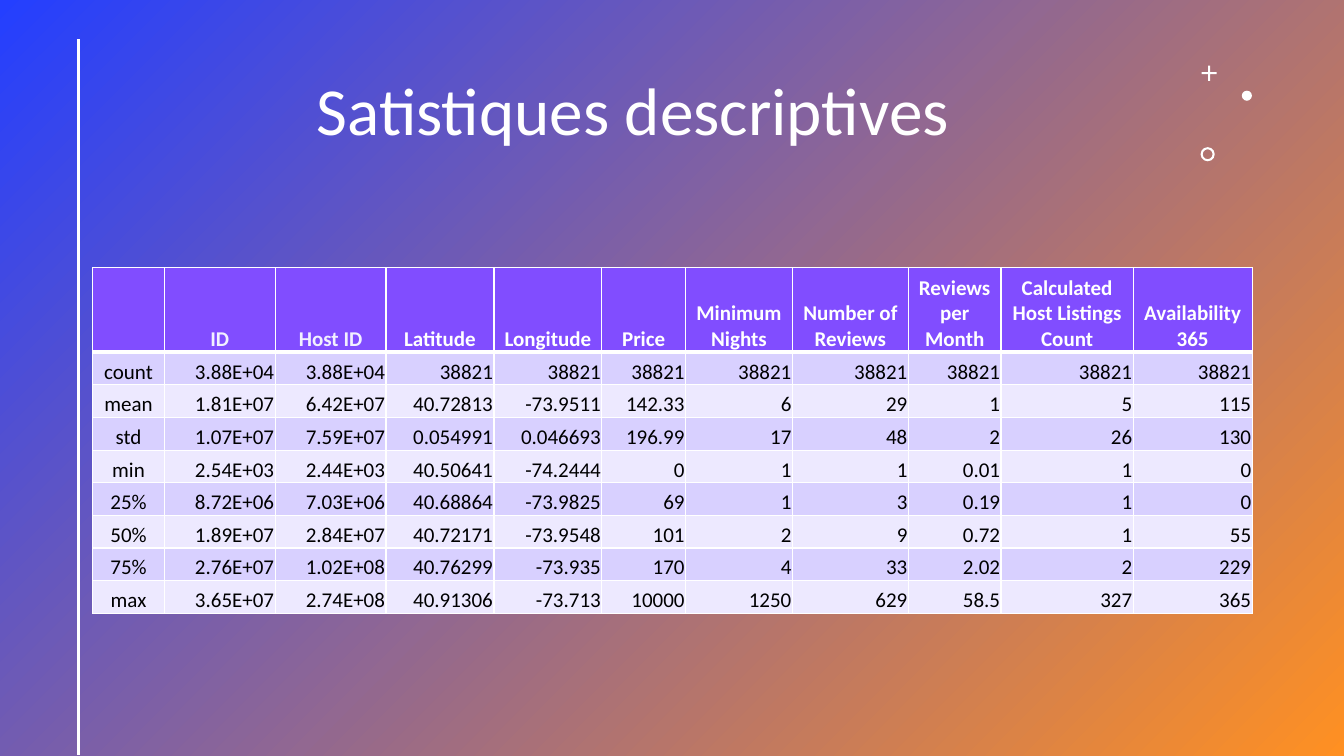
from lxml import etree
from pptx import Presentation
from pptx.dml.color import RGBColor
from pptx.enum.shapes import MSO_CONNECTOR, MSO_SHAPE
from pptx.enum.text import MSO_ANCHOR, PP_ALIGN
from pptx.oxml.ns import qn
from pptx.util import Inches, Pt

RECTANGLE, CROSS = MSO_SHAPE.RECTANGLE, MSO_SHAPE.CROSS
OVAL, DONUT = MSO_SHAPE.OVAL, MSO_SHAPE.DONUT
STRAIGHT = MSO_CONNECTOR.STRAIGHT
MIDDLE, BOTTOM = MSO_ANCHOR.MIDDLE, MSO_ANCHOR.BOTTOM
CENTER, RIGHT = PP_ALIGN.CENTER, PP_ALIGN.RIGHT

COLORS = {
    "blue": "243FFF",
    "orange": "FF9022",
    "white": "FFFFFF",
    "black": "000000",
    "pale": "F2F0FF",
    "header": "814DFF",
    "odd": "D8D0FF",
    "even": "EDE9FF",
}

HEADINGS = ["", "ID", "Host ID", "Latitude", "Longitude", "Price", "Minimum Nights",
            "Number of Reviews", "Reviews per Month", "Calculated Host Listings Count",
            "Availability 365"]
STATISTICS = [
    "count 3.88E+04 3.88E+04 38821 38821 38821 38821 38821 38821 38821 38821",
    "mean 1.81E+07 6.42E+07 40.72813 -73.9511 142.33 6 29 1 5 115",
    "std 1.07E+07 7.59E+07 0.054991 0.046693 196.99 17 48 2 26 130",
    "min 2.54E+03 2.44E+03 40.50641 -74.2444 0 1 1 0.01 1 0",
    "25% 8.72E+06 7.03E+06 40.68864 -73.9825 69 1 3 0.19 1 0",
    "50% 1.89E+07 2.84E+07 40.72171 -73.9548 101 2 9 0.72 1 55",
    "75% 2.76E+07 1.02E+08 40.76299 -73.935 170 4 33 2.02 2 229",
    "max 3.65E+07 2.74E+08 40.91306 -73.713 10000 1250 629 58.5 327 365",
]
# Percent of the slide's width and height
COLUMN_WIDTHS = [5.33, 8.25, 8.25, 8.03, 8.03, 6.23, 7.95, 8.63, 6.9, 9.83, 8.85]
ROW_HEIGHTS = [11.2] + [4.32] * len(STATISTICS)


def color(name):
    return RGBColor.from_string(COLORS[name])


class SlideBuilder:
    """Draws on one slide; positions are percentages of the slide's size."""

    font = "Calibri"

    def __init__(self, deck):
        self.width, self.height = deck.slide_width, deck.slide_height
        self.page = deck.slides.add_slide(deck.slide_layouts[5])

    def x(self, share):
        return round(self.width * share / 100)

    def y(self, share):
        return round(self.height * share / 100)

    def style(self, paragraph, size, color_name, align, bold=False):
        paragraph.alignment = align
        paragraph.font.name = self.font
        paragraph.font.size = Pt(size)
        paragraph.font.bold = bold
        paragraph.font.color.rgb = color(color_name)

    def backdrop(self, start, end):
        box = self.page.shapes.add_shape(RECTANGLE, 0, 0, self.width, self.height)
        box.shadow.inherit = False
        box.line.fill.background()
        box.fill.gradient()
        box.fill.gradient_angle = 315
        for stop, name in zip(box.fill.gradient_stops, (start, end)):
            stop.color.rgb = color(name)
        # The title placeholder stands in front of the backdrop
        self.page.shapes.title.element.addprevious(box.element)

    def title(self, text, left, top, width, height):
        box = self.page.shapes.title
        box.left, box.top = self.x(left), self.y(top)
        box.width, box.height = self.x(width), self.y(height)
        box.text_frame.text = text
        box.text_frame.vertical_anchor = MIDDLE
        para = box.text_frame.paragraphs[0]
        para.line_spacing = 0.9
        self.style(para, 48, "white", CENTER)

    def vertical_line(self, left, top, bottom):
        line = self.page.shapes.add_connector(
            STRAIGHT, self.x(left), self.y(top), self.x(left), self.y(bottom))
        line.line.color.rgb = color("white")
        line.line.width = Pt(2)
        etree.SubElement(line.element.spPr, qn("a:effectLst"))

    def mark(self, kind, left, top, size, adjustment=None):
        side = self.x(size)
        shape = self.page.shapes.add_shape(kind, self.x(left), self.y(top), side, side)
        shape.shadow.inherit = False
        shape.fill.solid()
        shape.fill.fore_color.rgb = color("white")
        shape.line.fill.background()
        if adjustment is not None:
            shape.adjustments[0] = adjustment

    def borders(self, cell, top, bottom):
        properties = cell._tc.get_or_add_tcPr()
        for side, points in (("L", 1), ("R", 1), ("T", top), ("B", bottom)):
            edge = etree.SubElement(properties, qn(f"a:ln{side}"), w=str(Pt(points)))
            fill = etree.SubElement(edge, qn("a:solidFill"))
            etree.SubElement(fill, qn("a:srgbClr"), val=COLORS["white"])

    def cell(self, cell, text, fill, ink, align, bold, top, bottom):
        self.borders(cell, top, bottom)
        cell.fill.solid()
        cell.fill.fore_color.rgb = color(fill)
        cell.margin_left = cell.margin_right = cell.margin_top = Inches(0.01)
        cell.margin_bottom = 0
        cell.vertical_anchor = BOTTOM
        cell.text = text
        self.style(cell.text_frame.paragraphs[0], 15, ink, align, bold)

    def table(self, rows, left, top, widths, heights):
        table = self.page.shapes.add_table(
            len(rows), len(widths), self.x(left), self.y(top),
            self.x(sum(widths)), self.y(sum(heights))).table
        for column, width in zip(table.columns, widths):
            column.width = self.x(width)
        for row, height in zip(table.rows, heights):
            row.height = self.y(height)
        for r, values in enumerate(rows):
            header = r == 0
            fill = "header" if header else "odd" if r % 2 else "even"
            for c, text in enumerate(values):
                ink = "black" if not header else "pale" if c < 3 else "white"
                align = CENTER if header or c == 0 else RIGHT
                self.cell(table.cell(r, c), text, fill, ink, align, header,
                          top=3 if r == 1 else 1, bottom=3 if header else 1)


def main():
    deck = Presentation()
    deck.slide_width, deck.slide_height = Inches(13.33), Inches(7.5)
    slide = SlideBuilder(deck)

    # Background and title
    slide.backdrop("blue", "orange")
    slide.title("Satistiques descriptives", 6.9, 5.33, 80.4, 19.33)
    slide.vertical_line(5.85, 5.2, 99.87)

    # Ornaments: plus, dot and ring
    slide.mark(CROSS, 89.4, 8.67, 1.13, 0.44)
    slide.mark(OVAL, 92.4, 12, 0.75)
    slide.mark(DONUT, 89.33, 19.47, 1.05, 0.15)

    # Descriptive statistics
    rows = [HEADINGS] + [line.split() for line in STATISTICS]
    slide.table(rows, 6.9, 35.4, COLUMN_WIDTHS, ROW_HEIGHTS)

    deck.save("out.pptx")


if __name__ == "__main__":
    main()
